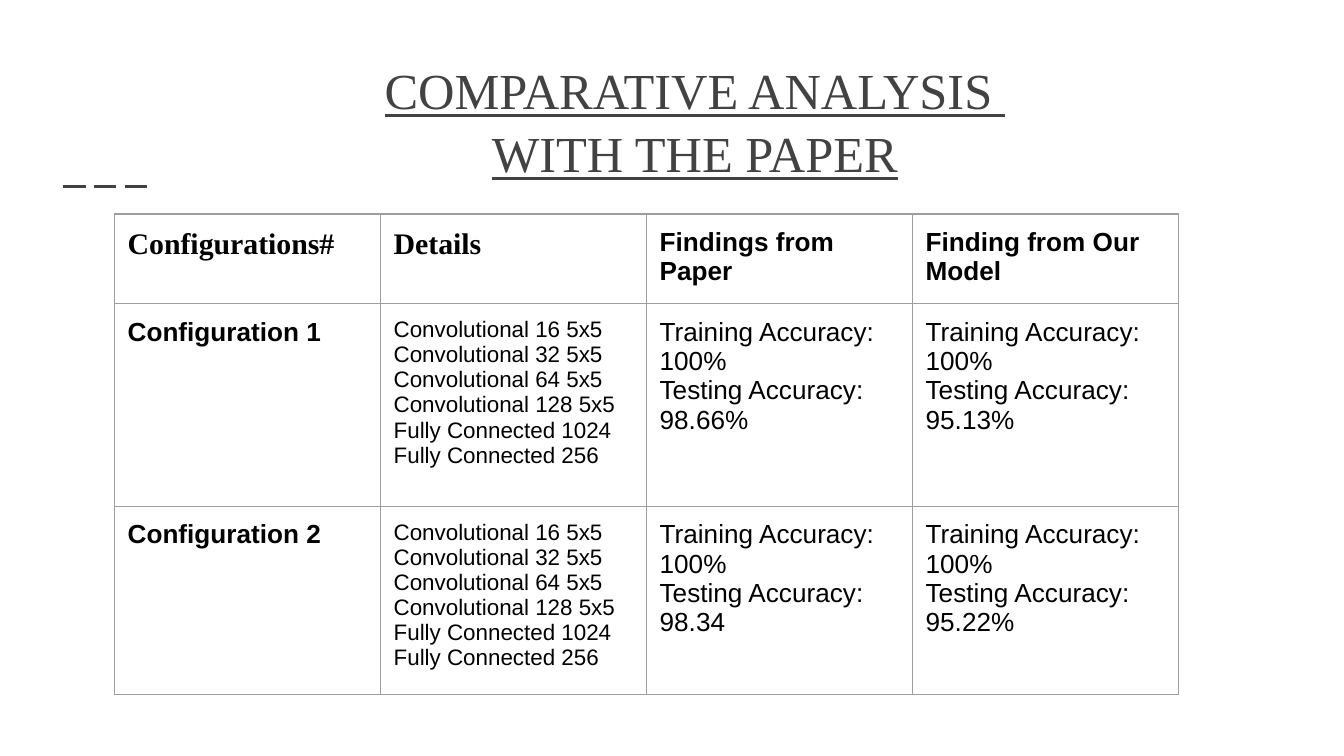
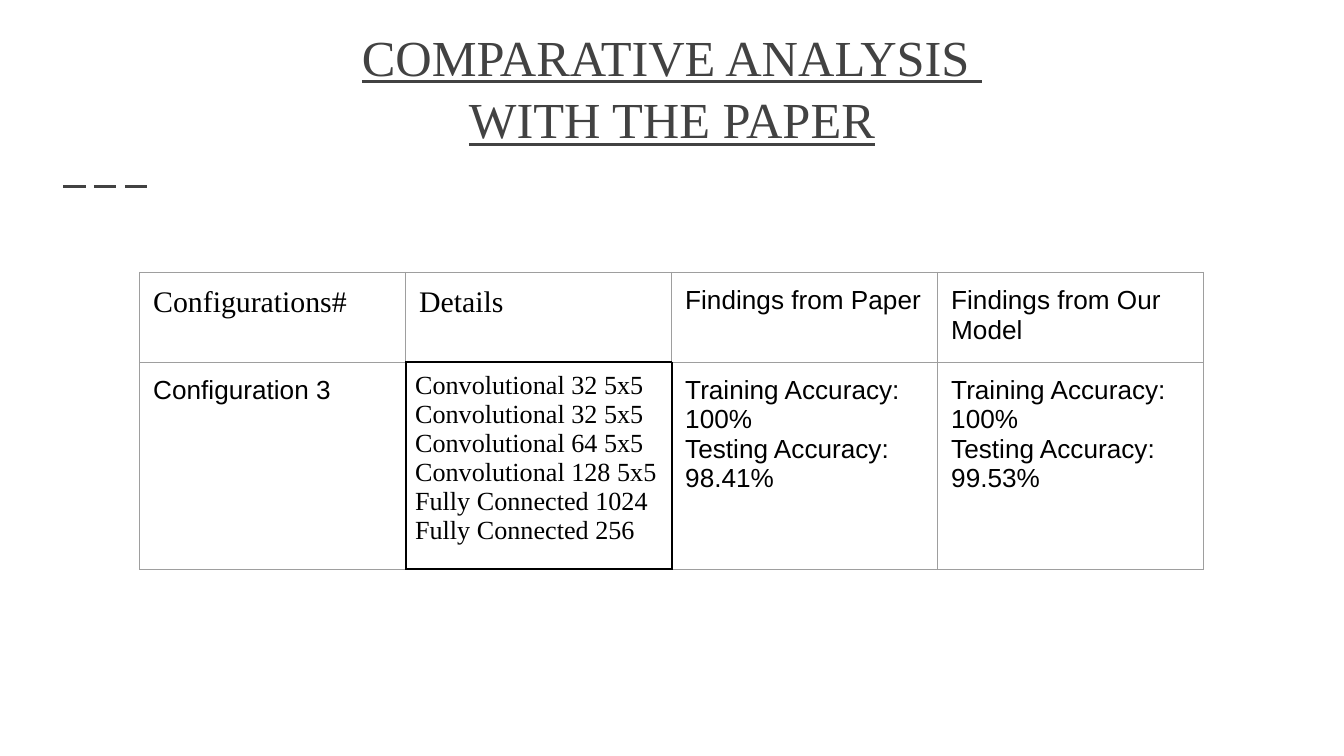
"""Build two slides that compare paper and model accuracy in tables."""
from lxml.etree import SubElement as Sub
from pptx import Presentation
from pptx.dml.color import RGBColor as Rgb
from pptx.enum.dml import MSO_LINE as Dash
from pptx.enum.shapes import MSO_CONNECTOR as Conn
from pptx.enum.text import MSO_ANCHOR as Anchor, PP_ALIGN as Align
from pptx.oxml.ns import qn
from pptx.util import Pt

INK, GREY, BLACK = "424242", "9E9E9E", "000000"
SERIF, SANS = "Times New Roman", "Arial"
TITLE = ["COMPARATIVE ANALYSIS ", "WITH THE PAPER"]
HEAD = ["Configurations#", "Details", "Findings from Paper"]
TAIL = ["Convolutional 32 5x5", "Convolutional 64 5x5", "Convolutional 128 5x5",
        "Fully Connected 1024", "Fully Connected 256"]
COL, PAD, THIN = 142.5, 7.2, 5


def score(test):
    return ["Training Accuracy: 100%", f"Testing Accuracy: {test}"]


def layers(first):
    return [first, *TAIL]


SLIDES = [
    {"title": (36.7, 47.5), "table": (61.2, 114.6), "bold": True,
     "detail": (SANS, 12, PAD), "heights": [48.2, 108.6, 94.8],
     "head": HEAD + ["Finding from Our Model"],
     "rows": [(["Configuration 1"], layers("Convolutional 16 5x5"),
               score("98.66%"), score("95.13%")),
              (["Configuration 2"], layers("Convolutional 16 5x5"),
               score("98.34"), score("95.22%"))],
     "edges": {}},
    {"title": (24.5, 29.5), "table": (74.9, 146), "bold": False,
     "detail": (SERIF, 14, THIN), "heights": [45.4, 102.8],
     "head": HEAD + ["Findings from Our Model"],
     "rows": [(["Configuration 3"], layers("Convolutional 32 5x5"),
               score("98.41%"), score("99.53%"))],
     "edges": {(0, 1): "B", (1, 0): "R", (1, 1): "LRTB", (1, 2): "L"}},
]


def color(code):
    return Rgb.from_string(code)


def write(frame, lines, face, size, code, bold=False):
    frame.text = "\n".join(lines)
    for para in frame.paragraphs:
        font = para.font
        font.name, font.size, font.bold = face, Pt(size), bold
        font.color.rgb = color(code)


def inset(item, pad):
    item.margin_left = item.margin_right = Pt(pad)
    item.margin_top = item.margin_bottom = Pt(pad)


def border(cell, dark):
    props = cell._tc.get_or_add_tcPr()
    for side in "LRTB":
        code, width = (BLACK, 1) if side in dark else (GREY, 0.75)
        line = Sub(props, qn("a:ln" + side), w=str(Pt(width)))
        Sub(Sub(line, qn("a:solidFill")), qn("a:srgbClr"), val=code)


def add_title(slide, left, top):
    frame = slide.shapes.add_textbox(Pt(left), Pt(top), Pt(671), Pt(57.6)).text_frame
    frame.word_wrap = True
    frame.vertical_anchor = Anchor.BOTTOM
    inset(frame, PAD)
    write(frame, TITLE, SERIF, 27, INK)
    for para in frame.paragraphs:
        para.alignment, para.line_spacing = Align.CENTER, 1.04
        para.font.underline = True


def add_rule(slide):
    rule = slide.shapes.add_connector(Conn.STRAIGHT, Pt(33.8), Pt(100), Pt(82), Pt(100))
    rule.line.color.rgb = color(INK)
    rule.line.width = Pt(1.5)
    rule.line.dash_style = Dash.LONG_DASH
    Sub(rule._element.spPr, qn("a:effectLst"))


def style(data, row, col):
    if row == 0:
        return (SERIF, 16, PAD) if col < 2 else (SANS, 14, PAD)
    return data["detail"] if col == 1 else (SANS, 14, PAD)


def add_grid(slide, data):
    rows = [[[name] for name in data["head"]], *data["rows"]]
    highs = data["heights"]
    left, top = data["table"]
    grid = slide.shapes.add_table(len(rows), 4, Pt(left), Pt(top),
                                  Pt(4 * COL), Pt(sum(highs))).table
    grid.first_row = grid.horz_banding = False
    for col in grid.columns:
        col.width = Pt(COL)
    for r, row in enumerate(rows):
        grid.rows[r].height = Pt(highs[r])
        for c, lines in enumerate(row):
            cell = grid.cell(r, c)
            face, size, pad = style(data, r, c)
            inset(cell, pad)
            write(cell.text_frame, lines, face, size, BLACK,
                  data["bold"] and (r == 0 or c == 0))
            border(cell, data["edges"].get((r, c), ""))
            cell.fill.background()


def main():
    deck = Presentation()
    deck.slide_width, deck.slide_height = Pt(720), Pt(405)
    for data in SLIDES:
        slide = deck.slides.add_slide(deck.slide_layouts[6])
        add_rule(slide)
        add_title(slide, *data["title"])
        add_grid(slide, data)
    deck.save("out.pptx")


if __name__ == "__main__":
    main()
